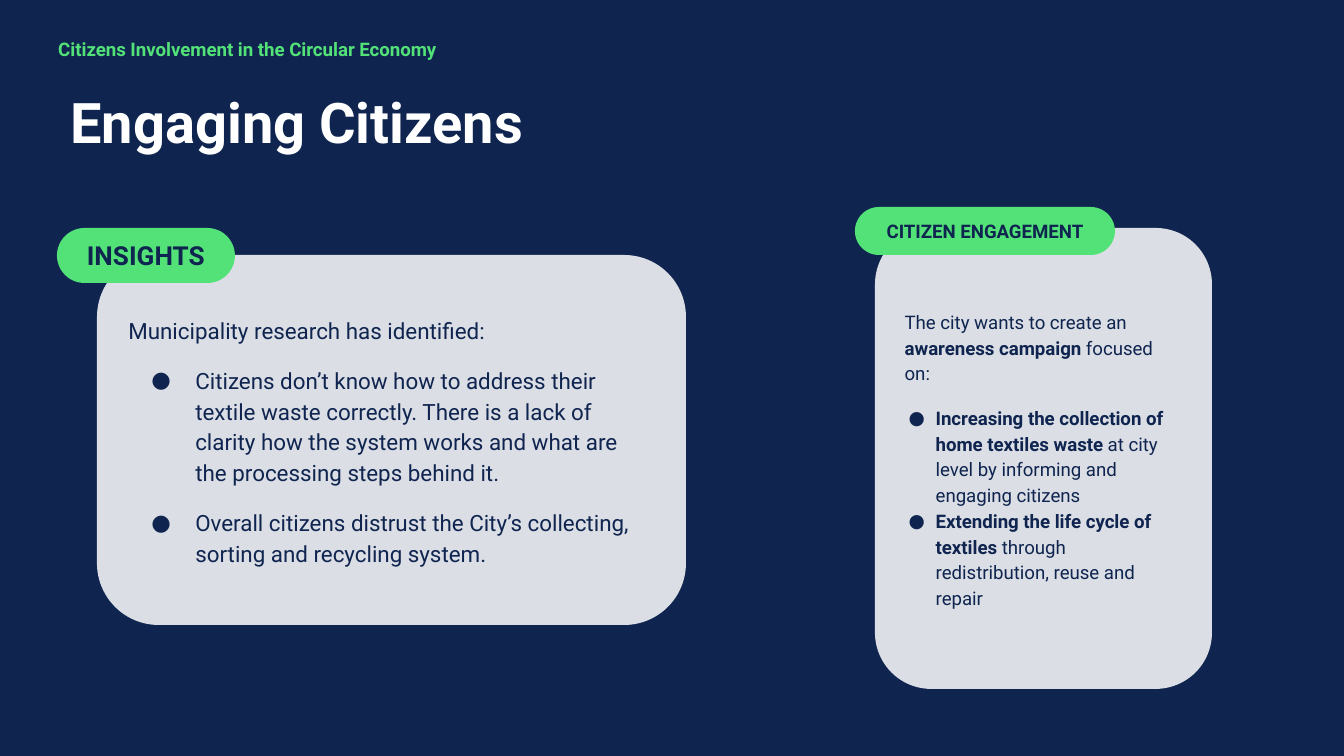
from dataclasses import dataclass

import lxml.etree
import pptx
import pptx.dml.color
import pptx.enum.shapes
import pptx.enum.text
import pptx.oxml.ns
import pptx.util

EMU_PER_PX = 914400 / 134.4
NAVY, GREEN, WHITE = "0F2550", "52E277", "FFFFFF"
FONT = "Roboto"
ALIGN = pptx.enum.text.PP_ALIGN
ANCHOR = pptx.enum.text.MSO_ANCHOR


@dataclass
class Box:
    left: int
    top: int
    width: int
    height: int

    def emu(self) -> tuple:
        return tuple(px(side) for side in (self.left, self.top, self.width, self.height))


@dataclass
class Panel:
    box: Box
    label_box: Box
    label: str
    label_size: int
    text_size: int
    margin: int
    hanging: int
    intro: str
    bullets: list
    # Space before and after each bullet, in points
    spacing: list


def px(length: int) -> int:
    return round(length * EMU_PER_PX)


def color(value: str) -> pptx.dml.color.RGBColor:
    return pptx.dml.color.RGBColor.from_string(value)


def add_element(parent, tag: str, **attributes):
    return lxml.etree.SubElement(parent, pptx.oxml.ns.qn(tag), **attributes)


def prepare_frame(frame, anchor) -> None:
    frame.word_wrap = True
    frame.auto_size = pptx.enum.text.MSO_AUTO_SIZE.NONE
    frame.vertical_anchor = anchor
    frame.margin_left = frame.margin_right = pptx.util.Inches(0.1)
    frame.margin_top = frame.margin_bottom = pptx.util.Inches(0.1)


def write(frame, text: str, *, size: int, fill: str = NAVY, bold: bool = False,
          align=ALIGN.LEFT, line_spacing: float = 1.0, before: int = 0,
          after: int = 0, margin: int = 0, hanging: int = 0) -> None:
    """Write one paragraph; ** switches bold, a hanging indent adds a bullet."""
    first = frame.paragraphs[0]
    paragraph = frame.add_paragraph() if first.runs else first
    if hanging:
        properties = paragraph._p.get_or_add_pPr()
        properties.set("marL", str(px(margin)))
        properties.set("indent", str(-px(hanging)))
        bullet_color = add_element(properties, "a:buClr")
        add_element(bullet_color, "a:srgbClr", val=fill)
        add_element(properties, "a:buFont", typeface=FONT)
        add_element(properties, "a:buChar", char="●")
    paragraph.alignment = align
    paragraph.line_spacing = line_spacing
    if before:
        paragraph.space_before = pptx.util.Pt(before)
    if after:
        paragraph.space_after = pptx.util.Pt(after)
    for index, part in enumerate(text.split("**")):
        if part:
            run = paragraph.add_run()
            run.text = part
            run.font.name = FONT
            run.font.size = pptx.util.Pt(size)
            run.font.bold = bold or index % 2 == 1
            run.font.color.rgb = color(fill)


def add_rounded(slide, box: Box, fill: str, radius: float, opacity: int = 100):
    shape = slide.shapes.add_shape(
        pptx.enum.shapes.MSO_SHAPE.ROUNDED_RECTANGLE, *box.emu())
    shape.adjustments[0] = radius
    shape.shadow.inherit = False
    shape.fill.solid()
    shape.fill.fore_color.rgb = color(fill)
    shape.line.fill.background()
    if opacity < 100:
        fill_color = shape._element.spPr.find(".//" + pptx.oxml.ns.qn("a:srgbClr"))
        add_element(fill_color, "a:alpha", val=str(opacity * 1000))
    prepare_frame(shape.text_frame, ANCHOR.MIDDLE)
    return shape


def add_panel(slide, panel: Panel) -> None:
    card = add_rounded(slide, panel.box, WHITE, 0.167, opacity=85)
    write(card.text_frame, panel.intro, size=panel.text_size, line_spacing=1.15)
    for bullet, (before, after) in zip(panel.bullets, panel.spacing):
        write(card.text_frame, bullet, size=panel.text_size, line_spacing=1.15,
              before=before, after=after, margin=panel.margin, hanging=panel.hanging)
    label = add_rounded(slide, panel.label_box, GREEN, 0.5)
    write(label.text_frame, panel.label, size=panel.label_size, bold=True,
          align=ALIGN.CENTER)


PANELS = [
    Panel(
        box=Box(97, 255, 589, 370), label_box=Box(57, 228, 178, 55),
        label="INSIGHTS", label_size=14, text_size=12, margin=67, hanging=44,
        intro="Municipality research has identified:",
        bullets=[
            "Citizens don’t know how to address their textile waste correctly. "
            "There is a lack of clarity how the system works and what are the "
            "processing steps behind it.",
            "Overall citizens distrust the City’s collecting, sorting and "
            "recycling system.",
        ],
        spacing=[(10, 0), (10, 10)],
    ),
    Panel(
        box=Box(875, 228, 337, 461), label_box=Box(855, 207, 260, 48),
        label="CITIZEN ENGAGEMENT", label_size=10, text_size=10, margin=31, hanging=27,
        intro="The city wants to create an **awareness campaign** focused on:",
        bullets=[
            "**Increasing the collection of home textiles waste** at city level "
            "by informing and engaging citizens",
            "**Extending the life cycle of textiles** through redistribution, "
            "reuse and repair",
        ],
        spacing=[(10, 0), (0, 0)],
    ),
]


def main() -> None:
    presentation = pptx.Presentation()
    presentation.slide_width, presentation.slide_height = px(1344), px(756)
    slide = presentation.slides.add_slide(presentation.slide_layouts[5])
    slide.background.fill.solid()
    slide.background.fill.fore_color.rgb = color(NAVY)

    # Title
    title = slide.shapes.title
    title.left, title.top, title.width, title.height = Box(57, 67, 1230, 101).emu()
    prepare_frame(title.text_frame, ANCHOR.BOTTOM)
    write(title.text_frame, "Engaging Citizens", size=30, fill=WHITE, bold=True)

    # Running header
    header = slide.shapes.add_textbox(*Box(45, 24, 555, 50).emu())
    prepare_frame(header.text_frame, ANCHOR.TOP)
    write(header.text_frame, "Citizens Involvement in the Circular Economy",
          size=10, fill=GREEN, bold=True)

    # Cards with their labels
    for panel in PANELS:
        add_panel(slide, panel)

    presentation.save("out.pptx")


if __name__ == "__main__":
    main()
